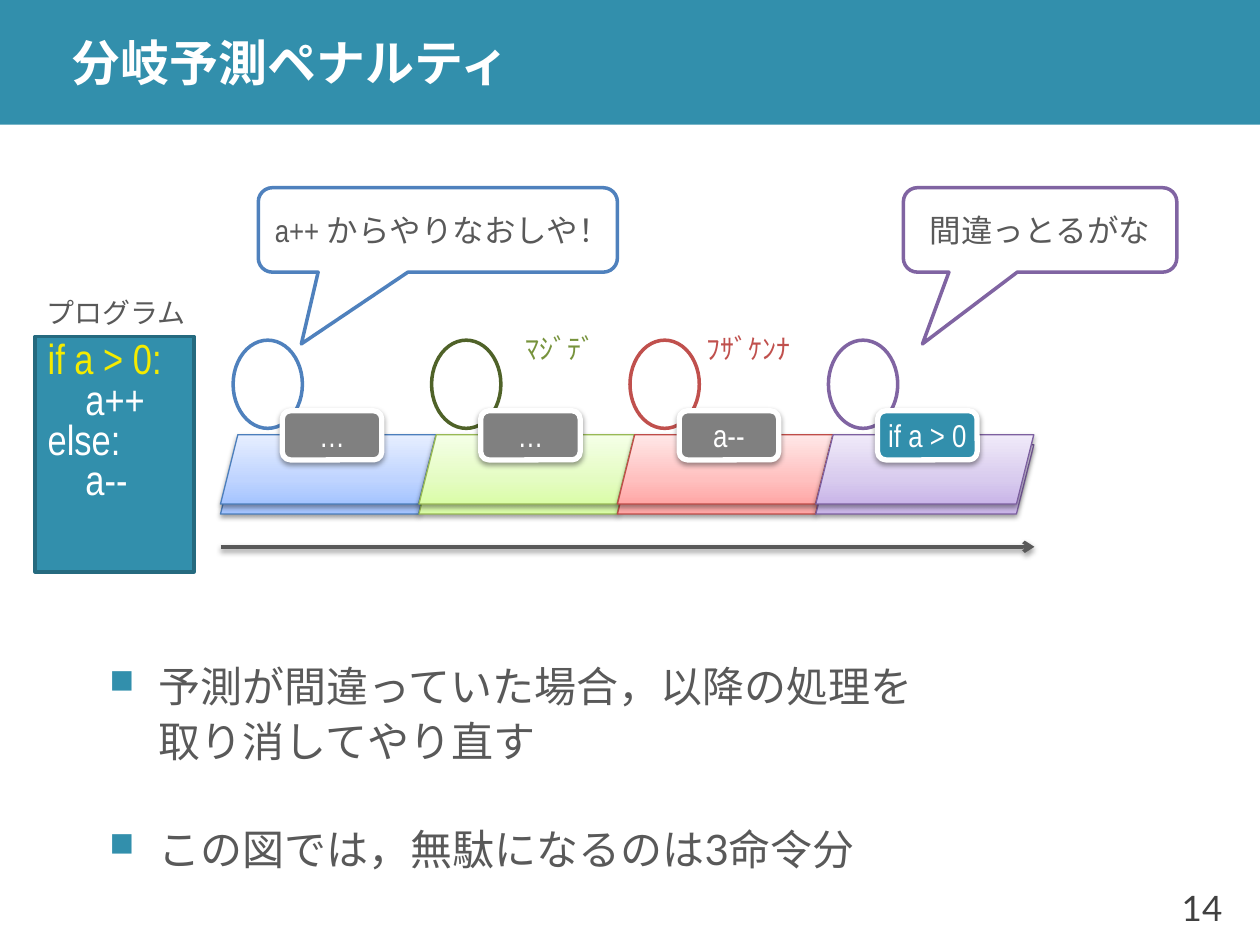
import copy

from lxml import etree
from pptx import Presentation, util as u
from pptx.dml.color import RGBColor
from pptx.enum import shapes, text
from pptx.oxml.ns import qn

Inches, Pt = u.Inches, u.Pt
rgb = RGBColor.from_string
SHAPE, ALIGN, ANCHOR = shapes.MSO_SHAPE, text.PP_ALIGN, text.MSO_ANCHOR
TEAL, GREY, WHITE = "328FAC", "595959", "FFFFFF"
LATO, NARROW, CJK = "Lato", "Arial Narrow", "Noto Sans CJK JP"


def write(sp, paras, size, font, colour, bold=False, align=ALIGN.LEFT,
          anchor=ANCHOR.MIDDLE, wrap=False):
    """Fill sp with one paragraph per string; a newline is a line break."""
    tf = sp.text_frame
    tf.word_wrap, tf.vertical_anchor = wrap, anchor
    for i, words in enumerate(paras):
        p = tf.paragraphs[0] if i == 0 else tf.add_paragraph()
        p.alignment = align
        for j, part in enumerate(words.split("\n")):
            if j:
                p.add_line_break()
            r = p.add_run()
            r.text = part
            r.font.size, r.font.bold = Pt(size), bold
            r.font.color.rgb = rgb(colour)
            r.font.name = font
            etree.SubElement(r.font._element, qn("a:ea"), typeface=CJK)
    return tf


def outline(sp, line, width, fill=None, shadow=False):
    """Set line, solid fill and either a soft drop shadow or none."""
    if fill:
        sp.fill.solid()
        sp.fill.fore_color.rgb = rgb(fill)
    sp.line.color.rgb = rgb(line)
    sp.line.width = Pt(width)
    effects = etree.SubElement(sp._element.spPr, qn("a:effectLst"))
    if shadow:
        drop = etree.SubElement(effects, qn("a:outerShdw"), blurRad=str(Pt(3.1)),
                                dist=str(Pt(1.6)), dir="5400000", rotWithShape="0")
        black = etree.SubElement(drop, qn("a:srgbClr"), val="000000")
        etree.SubElement(black, qn("a:alpha"), val="38000")


prs = Presentation()
prs.slide_width, prs.slide_height = Inches(10), Inches(7.5)
s = prs.slides.add_slide(prs.slide_layouts[6])

# Header, title and page number
sp = s.shapes.add_shape(SHAPE.RECTANGLE, 0, 0, Inches(10), Inches(0.99))
outline(sp, TEAL, 0.75, TEAL)
sp.line.fill.background()
sp = s.shapes.add_textbox(Inches(0.47), 0, Inches(9.53), Inches(0.99))
tf = write(sp, ["分岐予測ペナルティ"], 28, LATO, WHITE, bold=True, wrap=True)
tf.margin_top = tf.margin_bottom = 0
sp = s.shapes.add_textbox(Inches(9.13), Inches(6.9), Inches(0.67), Inches(0.6))
write(sp, ["14"], 20, LATO, "404040", align=ALIGN.RIGHT, wrap=True)

# Pipeline stages: gradient, edge, worker colour, tag, tag fill
stages = [
    (("A4C4FF", "BFD4FF", "E6EEFF"), "4B7EBC", "4F81BD", "…", "808080"),
    (("DAFDA7", "E4FCC2", "F5FFE7"), "98B955", "4F6228", "…", "808080"),
    (("FFA6A5", "FFC0BF", "FFE7E7"), "BF4C48", "C0504D", "a--", "808080"),
    (("C9B5E8", "D8CBEE", "F0EAF9"), "7D60A0", "8064A2", "if a > 0", TEAL),
]
STEP = 1.575
for i, (tints, edge, *_) in enumerate(stages):
    for top in (3.53, 3.45):
        sp = s.shapes.add_shape(SHAPE.PARALLELOGRAM, Inches(1.75 + i * STEP), Inches(top),
                                Inches(1.73 if i == 3 else 1.71), Inches(0.55))
        sp.fill.gradient()
        sp.fill.gradient_angle = 90
        first = sp._element.spPr.find(".//" + qn("a:gs"))
        first.addnext(copy.deepcopy(first))
        for stop, tint, pos in zip(sp.fill.gradient_stops, tints, (0, 0.35, 1)):
            stop.color.rgb = rgb(tint)
            stop.position = pos
        outline(sp, edge, 0.75, shadow=True)

# One worker and one instruction tag on each stage
for i, (_, _, colour, tag, fill) in enumerate(stages):
    sp = s.shapes.add_shape(SHAPE.OVAL, Inches(1.85 + i * STEP), Inches(2.7),
                            Inches(0.55), Inches(0.7))
    outline(sp, colour, 2, WHITE)
    sp = s.shapes.add_shape(SHAPE.ROUNDED_RECTANGLE, Inches(2.24 + i * STEP), Inches(3.26),
                            Inches(0.79), Inches(0.39))
    outline(sp, WHITE, 3, fill, shadow=True)
    write(sp, [tag], 18, NARROW, WHITE, align=ALIGN.CENTER)

# Time arrow
arrow = s.shapes.add_connector(shapes.MSO_CONNECTOR.STRAIGHT, Inches(1.75), Inches(4.34),
                               Inches(8.21), Inches(4.34))
outline(arrow, GREY, 2, shadow=True)
etree.SubElement(arrow.line._get_or_add_ln(), qn("a:tailEnd"), type="arrow")

# Program listing
sp = s.shapes.add_shape(SHAPE.RECTANGLE, Inches(0.28), Inches(2.67), Inches(1.26), Inches(1.87))
outline(sp, "256A7F", 2, TEAL)
tf = write(sp, ["if a > 0:", "a++", "else:", "a--"], 24, NARROW, WHITE,
           anchor=ANCHOR.TOP, wrap=True)
tf.paragraphs[0].runs[0].font.color.rgb = rgb("F4EB00")
for i, p in enumerate(tf.paragraphs):
    p.line_spacing = 0.8
    if i % 2:
        p._p.get_or_add_pPr().set("marL", str(Inches(0.3)))

# Speech bubbles
for left, width, tip, edge, words, align in [
        (2.05, 2.85, -0.38, "4F81BD", "a++ からやりなおしや！", ALIGN.LEFT),
        (7.17, 2.17, -0.43, "8064A2", "間違っとるがな", ALIGN.CENTER)]:
    sp = s.shapes.add_shape(SHAPE.ROUNDED_RECTANGULAR_CALLOUT, Inches(left), Inches(1.49),
                            Inches(width), Inches(0.67))
    sp.adjustments[0], sp.adjustments[1] = tip, 1.35
    outline(sp, edge, 2, WHITE)
    write(sp, [words], 18, NARROW, GREY, align=align)

# Small labels, each centred on its x
LABEL_W = 1.5
for centre, top, words, colour in [(0.92, 2.18, "プログラム", GREY),
                                   (5.94, 2.47, "ﾌｻﾞｹﾝﾅ", "C0504D"),
                                   (4.45, 2.47, "ﾏｼﾞﾃﾞ", "77933C")]:
    sp = s.shapes.add_textbox(Inches(centre - LABEL_W / 2), Inches(top),
                              Inches(LABEL_W), Inches(0.59))
    write(sp, [words], 16, LATO, colour, align=ALIGN.CENTER, wrap=True)

# Bulleted conclusions
sp = s.shapes.add_textbox(Inches(0.77), Inches(5.32), Inches(8.96), Inches(1.5))
points = ["予測が間違っていた場合，以降の処理を\n取り消してやり直す",
          "この図では，無駄になるのは3命令分"]
tf = write(sp, points, 24, LATO, GREY, wrap=True)
for p in tf.paragraphs:
    p.line_spacing, p.space_before, p.space_after = 1.1, Pt(24), Pt(6)
    pPr = p._p.get_or_add_pPr()
    pPr.set("marL", str(Inches(0.39)))
    pPr.set("indent", str(Inches(-0.39)))
    bullet = etree.SubElement(pPr, qn("a:buClr"))
    etree.SubElement(bullet, qn("a:srgbClr"), val=TEAL)
    etree.SubElement(pPr, qn("a:buSzPct"), val="80000")
    etree.SubElement(pPr, qn("a:buChar"), char="■")

prs.save("out.pptx")
